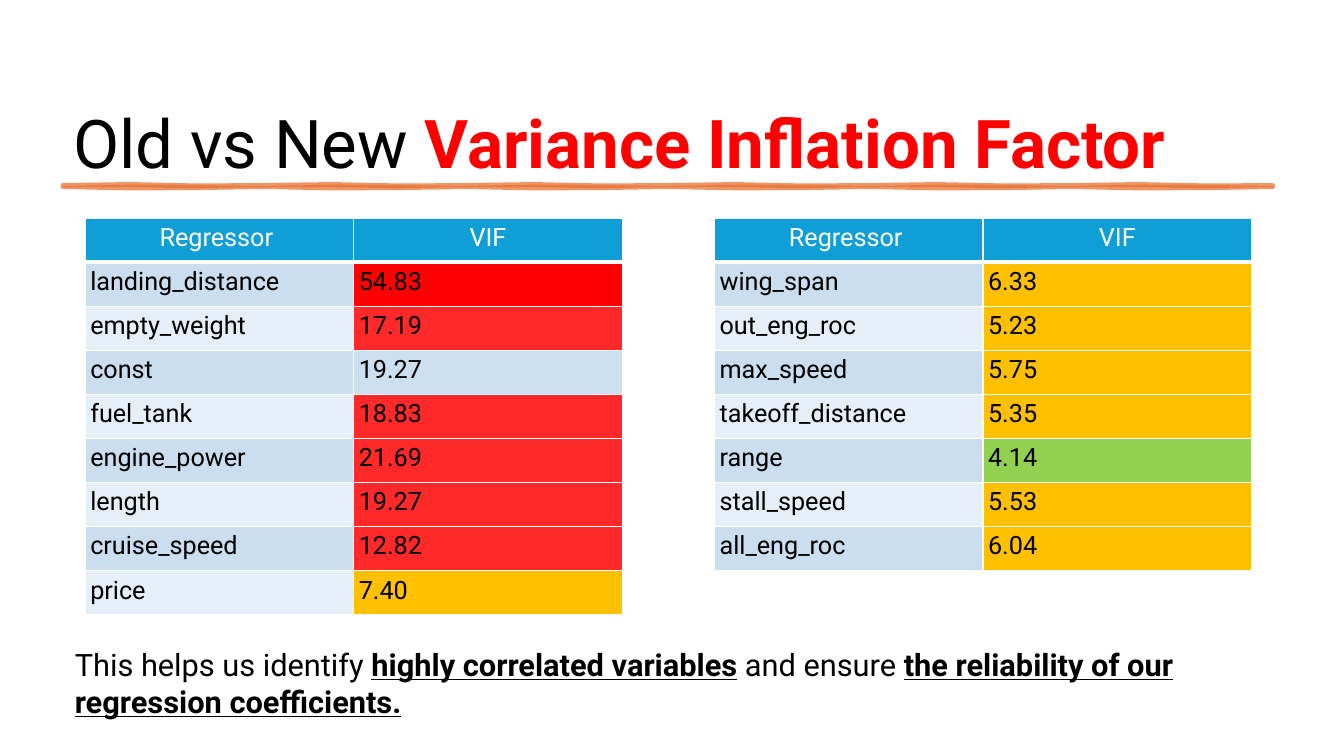
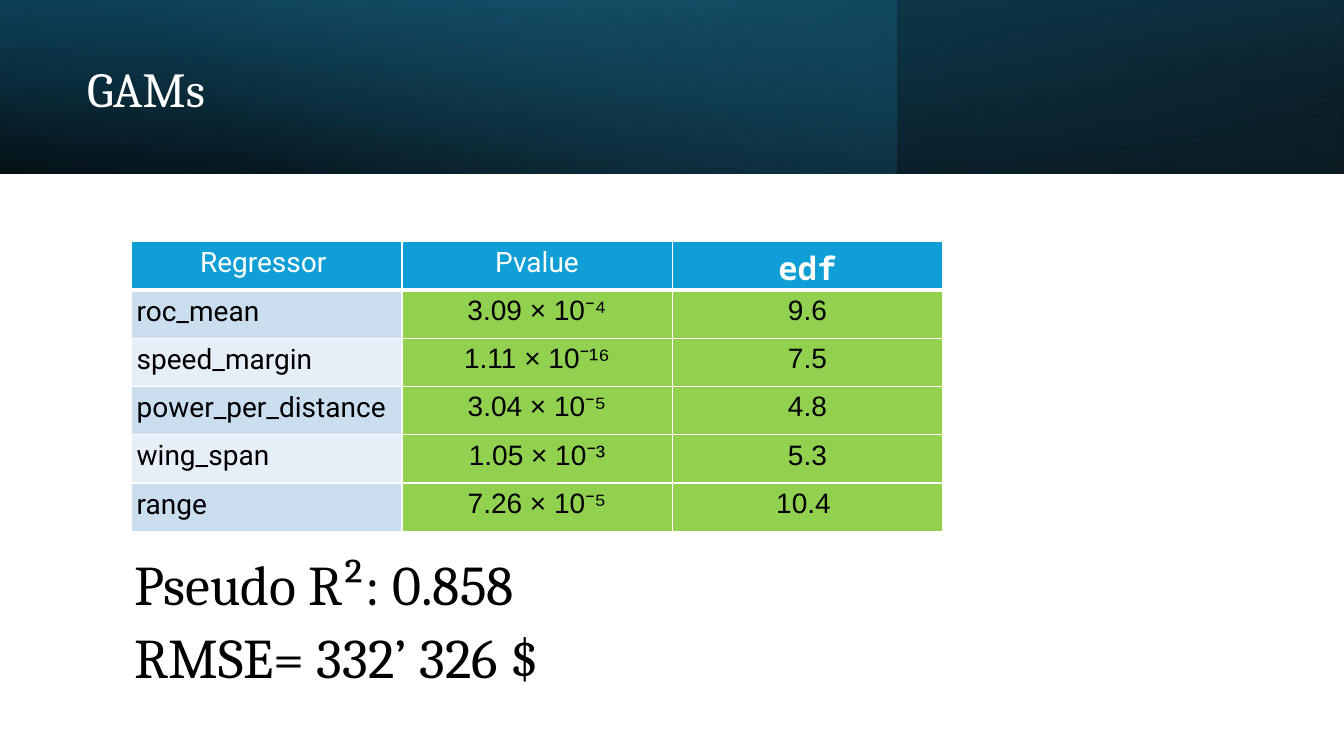
from dataclasses import dataclass
from math import sin

from lxml import etree
from pptx import Presentation
from pptx.dml.color import RGBColor
from pptx.enum.shapes import MSO_SHAPE
from pptx.enum.text import MSO_ANCHOR, MSO_AUTO_SIZE, PP_ALIGN
from pptx.oxml.ns import qn
from pptx.util import Pt

RECTANGLE = MSO_SHAPE.RECTANGLE
TOP, MIDDLE = MSO_ANCHOR.TOP, MSO_ANCHOR.MIDDLE
GROW = MSO_AUTO_SIZE.SHAPE_TO_FIT_TEXT
LEFT, CENTER = PP_ALIGN.LEFT, PP_ALIGN.CENTER


@dataclass(frozen=True)
class Theme:
    white: str = "FFFFFF"
    black: str = "000000"
    header: str = "0F9ED5"
    bands: tuple = ("CADEEF", "E6EFF7")
    neutral: str = "CCDFEF"
    extreme: str = "FF0000"
    high: str = "FF2929"
    moderate: str = "FFC000"
    low: str = "92D050"
    brush: str = "E97132"
    deep: str = "104862"
    teal: str = "156082"
    sky: str = "46B1E1"
    sans: str = "Roboto"
    serif: str = "Cambria"
    mono: str = "Noto Sans Mono"
    numeric: str = "Arial"
    headline_size: float = 48
    result_size: float = 40
    band_title_size: float = 34.9
    mono_size: float = 23
    note_size: float = 22
    wide_table_size: float = 20
    table_size: float = 18
    inset: float = 3.6
    rule: float = 1
    header_rule: float = 3


THEME = Theme()


def rgb(value):
    return RGBColor.from_string(value)


def style_run(run, font, size, color=THEME.black, bold=False, underline=False):
    run.font.name = font
    run.font.size = Pt(size)
    run.font.color.rgb = rgb(color)
    run.font.bold = bold
    run.font.underline = underline


def set_insets(target):
    target.margin_left = target.margin_right = Pt(THEME.inset)
    target.margin_top = target.margin_bottom = Pt(THEME.inset)


def add_text(slide, left, top, width, height, runs, font, size, anchor=TOP):
    box = slide.shapes.add_textbox(Pt(left), Pt(top), Pt(width), Pt(height))
    frame = box.text_frame
    frame.word_wrap = True
    frame.vertical_anchor = anchor
    set_insets(frame)
    if anchor == TOP:
        frame.auto_size = GROW
    for text, look in runs:
        run = frame.paragraphs[0].add_run()
        run.text = text
        style_run(run, font, size, **look)
    return frame.paragraphs[0]


def set_opacity(color_element, percent):
    etree.SubElement(color_element, qn("a:alpha"), val=str(percent * 1000))


def add_band(slide, width, stops, angle, flipped=False, rotation=0):
    band = slide.shapes.add_shape(RECTANGLE, 0, 0, Pt(width), Pt(124))
    band.shadow.inherit = False
    band.line.fill.background()
    band.rotation = rotation
    if flipped:
        band._element.spPr.find(qn("a:xfrm")).set("flipH", "1")
    band.fill.gradient()
    band.fill.gradient_angle = 360 - angle
    for stop, (position, color, _) in zip(band.fill.gradient_stops, stops):
        stop.position = position
        stop.color.rgb = rgb(color)
    colors = band._element.spPr.iter(qn("a:srgbClr"))
    for color_element, (_, _, opacity) in zip(colors, stops):
        set_opacity(color_element, opacity)


def brush_edge(xs, base, phase):
    return [(Pt(x), Pt(base + 0.6 * sin(x / 23 + phase))) for x in xs]


def add_brush_stroke(slide, phase, outlined):
    xs = range(45, 910, 48)
    upper = brush_edge(xs, 132.4, phase)
    lower = brush_edge(reversed(xs), 133.9, phase + 2)
    builder = slide.shapes.build_freeform(*upper[0])
    builder.add_line_segments(upper[1:] + lower, close=True)
    stroke = builder.convert_to_shape()
    stroke.shadow.inherit = False
    if outlined:
        stroke.fill.background()
        stroke.line.width = Pt(3.5)
        paint = stroke.line.fill
    else:
        stroke.line.fill.background()
        paint = stroke.fill
    paint.solid()
    paint.fore_color.rgb = rgb(THEME.brush)
    set_opacity(next(stroke._element.spPr.iter(qn("a:srgbClr"))), 75)


def set_borders(cell, top, bottom):
    properties = cell._tc.get_or_add_tcPr()
    widths = {"lnL": THEME.rule, "lnR": THEME.rule, "lnT": top, "lnB": bottom}
    for side, width in widths.items():
        line = etree.SubElement(properties, qn("a:" + side), w=str(Pt(width)))
        paint = etree.SubElement(line, qn("a:solidFill"))
        etree.SubElement(paint, qn("a:srgbClr"), val=THEME.white)


def fill_cell(cell, row, text, fill, align, font, size, color, bold=False):
    set_insets(cell)
    set_borders(cell,
                THEME.header_rule if row == 1 else THEME.rule,
                THEME.header_rule if row == 0 else THEME.rule)
    cell.fill.solid()
    cell.fill.fore_color.rgb = rgb(fill)
    paragraph = cell.text_frame.paragraphs[0]
    paragraph.text = text
    paragraph.alignment = align
    style_run(paragraph.runs[0], font, size, color, bold)


def add_regressor_table(slide, left, top, column_width, row_height, size, headers, rows,
                        value_fill, value_font=THEME.sans, value_align=LEFT):
    table = slide.shapes.add_table(
        len(rows) + 1, len(headers), Pt(left), Pt(top),
        Pt(column_width * len(headers)), Pt(row_height * (len(rows) + 1))).table
    for column in table.columns:
        column.width = Pt(column_width)
    for row in table.rows:
        row.height = Pt(row_height)
    for column, (text, font, header_size, bold) in enumerate(headers):
        fill_cell(table.cell(0, column), 0, text, THEME.header, CENTER, font,
                  header_size, THEME.white, bold)
    for row, (regressor, *values) in enumerate(rows, 1):
        fill_cell(table.cell(row, 0), row, regressor, THEME.bands[(row - 1) % 2],
                  LEFT, THEME.sans, size, THEME.black)
        for column, value in enumerate(values, 1):
            fill_cell(table.cell(row, column), row, value, value_fill(regressor, value),
                      value_align, value_font, size, THEME.black)


def vif_fill(regressor, value):
    if regressor == "const":
        return THEME.neutral
    levels = ((50, THEME.extreme), (10, THEME.high), (5, THEME.moderate))
    return next((color for limit, color in levels if float(value) > limit), THEME.low)


def significant_fill(regressor, value):
    return THEME.low


def build_vif_slide(slide):
    add_brush_stroke(slide, 0, outlined=False)
    add_brush_stroke(slide, 1, outlined=True)
    add_text(slide, 48.7, 69.1, 879, 65.5, [
        ("Old vs New ", {}),
        ("Variance Inflation Factor", {"color": THEME.extreme, "bold": True}),
    ], THEME.sans, THEME.headline_size)
    emphasis = {"bold": True, "underline": True}
    add_text(slide, 49.9, 457.6, 854.6, 59, [
        ("This helps us identify ", {}),
        ("highly correlated variables", emphasis),
        (" ", {"bold": True}),
        ("and ensure ", {}),
        ("the reliability of our regression coefficients.", emphasis),
    ], THEME.sans, THEME.note_size)
    headers = [(text, THEME.sans, THEME.table_size, False) for text in ("Regressor ", "VIF")]
    highest = [
        ("landing_distance", "54.83"), ("empty_weight", "17.19"), ("const", "19.27"),
        ("fuel_tank", "18.83"), ("engine_power", "21.69"), ("length", "19.27"),
        ("cruise_speed", "12.82"), ("price", "7.40"),
    ]
    lowest = [
        ("wing_span", "6.33"), ("out_eng_roc", "5.23"), ("max_speed", "5.75"),
        ("takeoff_distance", "5.35"), ("range", "4.14"), ("stall_speed", "5.53"),
        ("all_eng_roc", "6.04"),
    ]
    for left, rows in ((60.9, highest), (510.4, lowest)):
        add_regressor_table(slide, left, 155.7, 191.8, 31.52, THEME.table_size,
                            headers, rows, vif_fill)


def build_gam_slide(slide):
    add_band(slide, 960, ((0, THEME.black, 96), (1, THEME.deep, 100)), 100,
             flipped=True, rotation=180)
    add_band(slide, 640.4, ((0, THEME.teal, 41), (0.74, THEME.sky, 0)), 140)
    add_band(slide, 960, ((0, THEME.black, 63), (0.78, THEME.teal, 15)), 260, flipped=True)
    title = add_text(slide, 58.7, 20, 548.6, 91.4, [("GAMs", {"color": THEME.white})],
                     THEME.serif, THEME.band_title_size, MIDDLE)
    title.line_spacing = 0.9
    headers = [
        ("Regressor ", THEME.sans, THEME.wide_table_size, False),
        ("Pvalue", THEME.sans, THEME.wide_table_size, False),
        ("edf", THEME.mono, THEME.mono_size, True),
    ]
    smooth_terms = [
        ("roc_mean", "3.09 × 10⁻⁴", "9.6"),
        ("speed_margin", "1.11 × 10⁻¹⁶", "7.5"),
        ("power_per_distance", "3.04 × 10⁻⁵", "4.8"),
        ("wing_span", "1.05 × 10⁻³", "5.3"),
        ("range", "7.26 × 10⁻⁵", "10.4 "),
    ]
    add_regressor_table(slide, 94, 172.4, 193.1, 34.45, THEME.wide_table_size, headers,
                        smooth_terms, significant_fill, THEME.numeric, CENTER)
    for top, result in ((388.8, "Pseudo R²: 0.858"), (441, "RMSE= 332’ 326 $")):
        add_text(slide, 92.2, top, 328.3, 55.4, [(result, {})],
                 THEME.serif, THEME.result_size)


def main():
    deck = Presentation()
    deck.slide_width, deck.slide_height = Pt(960), Pt(540)
    for build in (build_vif_slide, build_gam_slide):
        build(deck.slides.add_slide(deck.slide_layouts[6]))
    deck.save("out.pptx")


if __name__ == "__main__":
    main()
